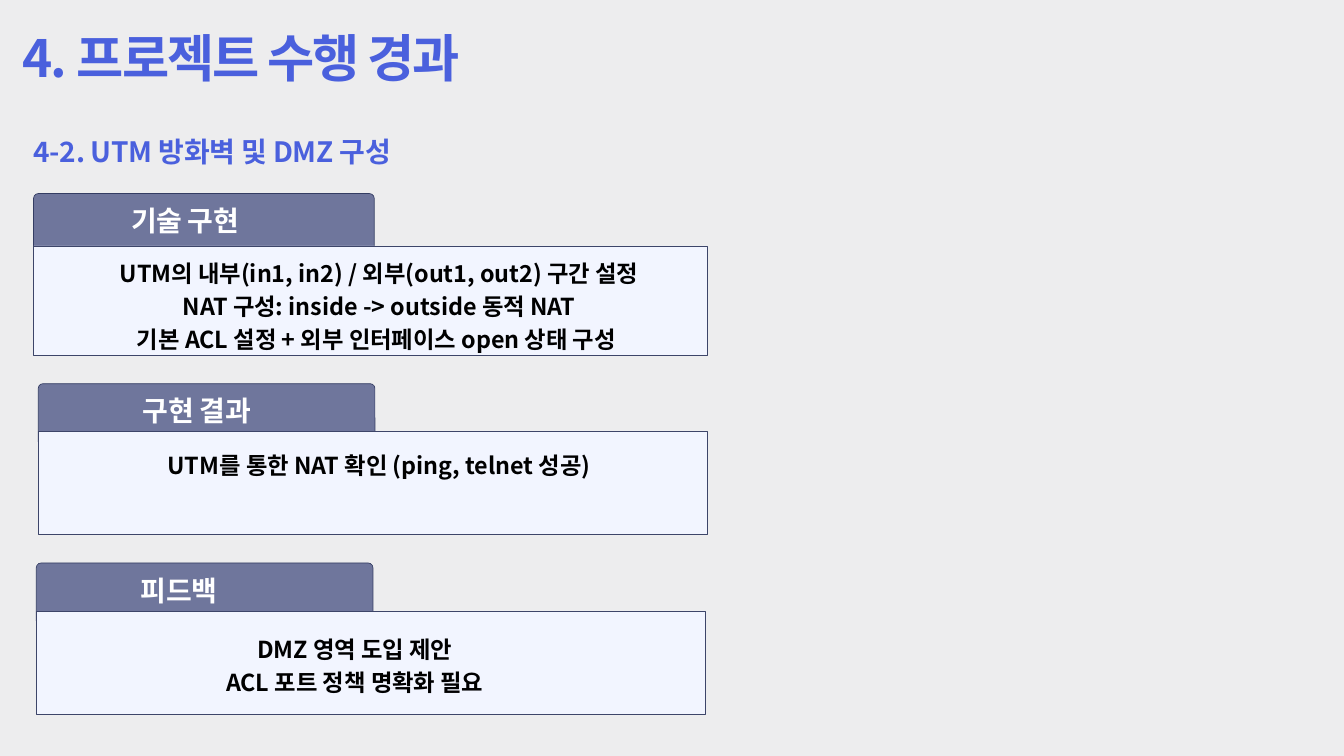
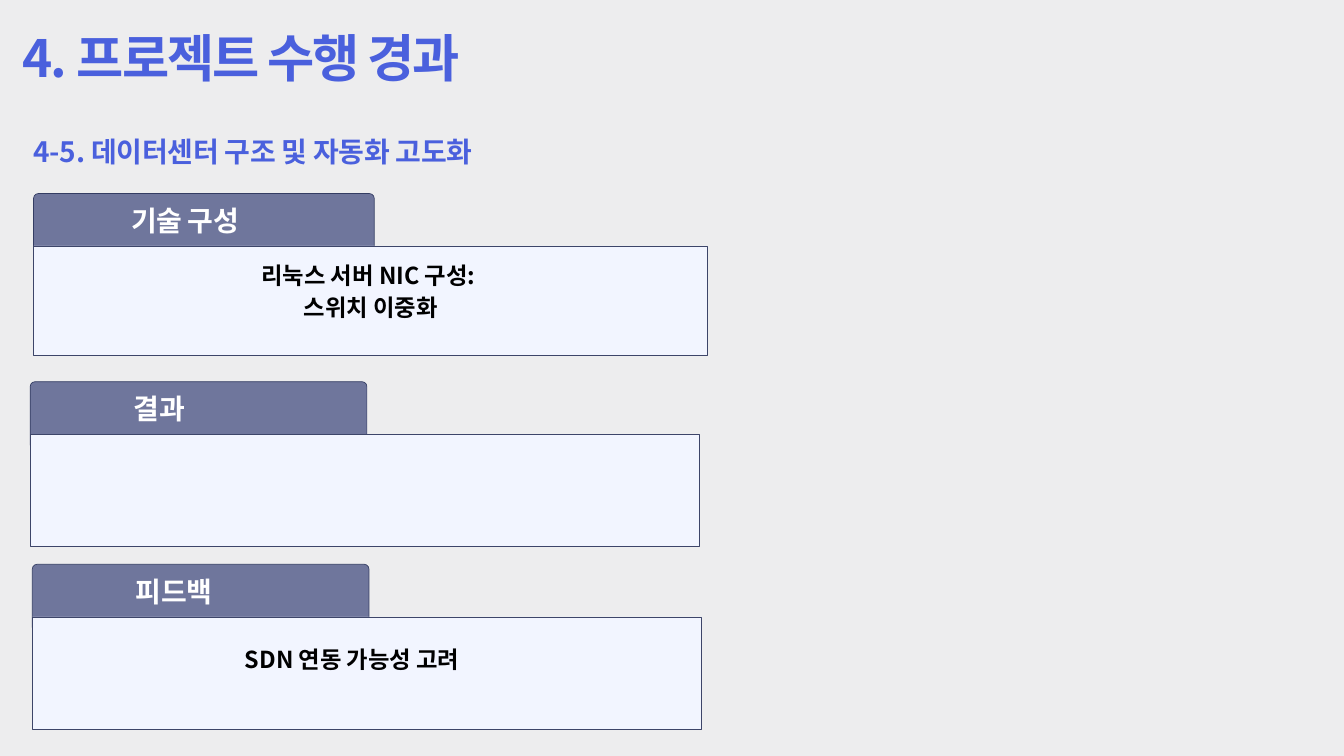
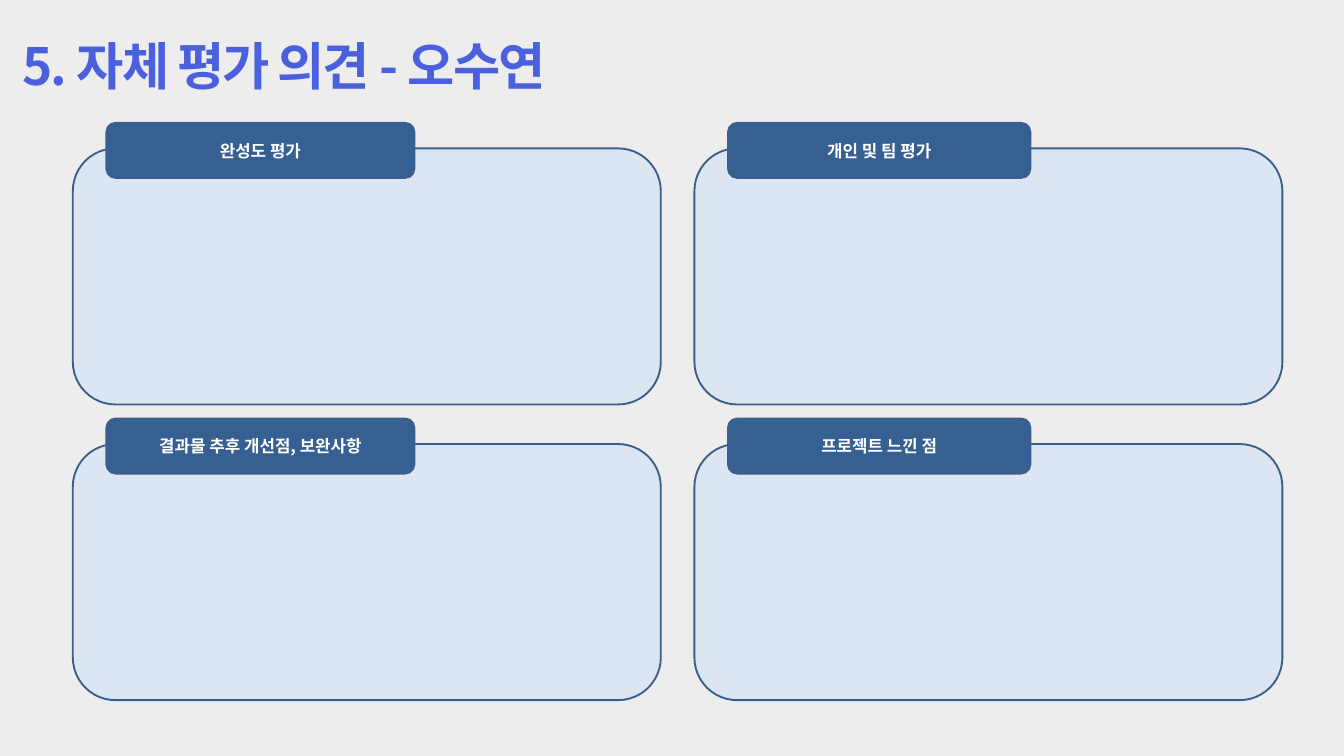
from dataclasses import dataclass

from lxml import etree
from pptx import Presentation
from pptx.dml.color import RGBColor
from pptx.enum.shapes import MSO_SHAPE
from pptx.enum.text import MSO_ANCHOR, MSO_AUTO_SIZE, PP_ALIGN
from pptx.oxml.ns import qn
from pptx.util import Pt

RECTANGLE = MSO_SHAPE.RECTANGLE
ROUNDED = MSO_SHAPE.ROUNDED_RECTANGLE
LEFT, CENTER = PP_ALIGN.LEFT, PP_ALIGN.CENTER
TOP, MIDDLE = MSO_ANCHOR.TOP, MSO_ANCHOR.MIDDLE
NO_FIT = MSO_AUTO_SIZE.NONE
TITLE_ONLY = 5


@dataclass(frozen=True)
class Theme:
    font: str = "Noto Sans CJK KR"
    background: str = "EDEDEE"
    accent: str = "4A60DD"
    white: str = "FFFFFF"
    black: str = "000000"
    tab: str = "6F769C"
    tab_line: str = "343D63"
    body: str = "F2F5FF"
    body_line: str = "3D4569"
    panel: str = "DCE6F2"
    label: str = "376092"
    panel_line: str = "3A5F8C"
    title_size: int = 55
    heading_size: int = 30
    body_size: int = 25
    label_size: int = 18


@dataclass(frozen=True)
class CardSize:
    tab_width: float
    tab_height: float
    body_offset: float
    body_width: float
    body_height: float
    heading_offset: float


THEME = Theme()
SIZES = {
    "lead": CardSize(365, 72.7, 56.1, 722, 117.4, 104.4),
    "short": CardSize(360.7, 66.8, 51.5, 717, 110.3, 112),
    "tall": CardSize(360.7, 72.7, 56.5, 717, 120.2, 110.9),
}

RESULT_SLIDES = [
    {
        "title": "4. 프로젝트 수행 경과",
        "section": "4-2. UTM 방화벽 및 DMZ 구성",
        "cards": [
            {"heading": "기술 구현", "size": "lead", "at": (36, 207.4),
             "lines": ["UTM의 내부(in1, in2) / 외부(out1, out2) 구간 설정",
                       "NAT 구성: inside -> outside 동적 NAT",
                       "기본 ACL 설정 + 외부 인터페이스 open 상태 구성 "],
             "text_at": (52.6, 272.9)},
            {"heading": "구현 결과", "size": "short", "at": (41, 411.1),
             "lines": ["UTM를 통한 NAT 확인 (ping, telnet 성공)"],
             "text_at": (52.6, 478.1)},
            {"heading": "피드백", "size": "short", "at": (38.9, 603.2),
             "lines": ["DMZ 영역 도입 제안", "ACL 포트 정책 명확화 필요"],
             "text_at": (26.6, 675.4)},
        ],
    },
    {
        "title": "4. 프로젝트 수행 경과",
        "section": "4-5. 데이터센터 구조 및 자동화 고도화",
        "cards": [
            {"heading": "기술 구성", "size": "lead", "at": (36, 207.4),
             "lines": ["리눅스 서버 NIC 구성: ", "스위치 이중화"],
             "text_at": (43.9, 274.3)},
            {"heading": "결과", "size": "tall", "at": (32.4, 409),
             "lines": [], "text_at": None},
            {"heading": "피드백", "size": "tall", "at": (34.6, 604.6),
             "lines": ["SDN 연동 가능성 고려"],
             "text_at": (23.8, 686.2)},
        ],
    },
]

REVIEW_TITLE = "5. 자체 평가 의견 - 오수연"
REVIEW_LABELS = [
    ["완성도 평가", "개인 및 팀 평가"],
    ["결과물 추후 개선점, 보완사항", "프로젝트 느낀 점"],
]


def color(value):
    return RGBColor.from_string(value)


def points(*values):
    return [Pt(value) for value in values]


def write(frame, lines, *, size, fill, align=LEFT, leading=None, spacing=0):
    for index, line in enumerate(lines):
        para = frame.paragraphs[0] if index == 0 else frame.add_paragraph()
        para.alignment = align
        if leading:
            para.line_spacing = Pt(leading)
        span = para.add_run()
        span.text = line
        font = span.font
        font.name, font.size, font.bold = THEME.font, Pt(size), True
        font.color.rgb = color(fill)
        properties = span._r.get_or_add_rPr()
        etree.SubElement(properties, qn("a:ea"), typeface=THEME.font)
        if spacing:
            properties.set("spc", str(round(spacing * 100)))


def clear_frame(frame):
    frame.word_wrap = True
    frame.auto_size = NO_FIT
    frame.vertical_anchor = TOP
    frame.margin_left = frame.margin_top = 0
    frame.margin_right = frame.margin_bottom = 0


def add_text(slide, lines, x, y, width, height, **style):
    box = slide.shapes.add_textbox(*points(x, y, width, height))
    clear_frame(box.text_frame)
    write(box.text_frame, lines, **style)


def add_heading(slide, text, x, y, width, fill):
    add_text(slide, [text], x, y, width, 38.2, size=THEME.heading_size,
             fill=fill, leading=39, spacing=-0.3)


def add_block(slide, kind, x, y, width, height, *, fill, line, weight, radius=None):
    block = slide.shapes.add_shape(kind, *points(x, y, width, height))
    block.shadow.inherit = False
    block.fill.solid()
    block.fill.fore_color.rgb = color(fill)
    block.line.color.rgb = color(line)
    block.line.width = Pt(weight)
    if radius:
        block.adjustments[0] = radius / min(width, height)
    return block


def add_titled_slide(deck, text, y, width):
    slide = deck.slides.add_slide(deck.slide_layouts[TITLE_ONLY])
    title = slide.shapes.title
    title.left, title.top, title.width, title.height = points(23.8, y, width, 69)
    clear_frame(title.text_frame)
    write(title.text_frame, [text], size=THEME.title_size, fill=THEME.accent,
          leading=70, spacing=-2.1)
    return slide


def add_card(slide, card):
    size = SIZES[card["size"]]
    x, y = card["at"]
    add_block(slide, ROUNDED, x, y, size.tab_width, size.tab_height,
              fill=THEME.tab, line=THEME.tab_line, weight=0.75, radius=5)
    add_block(slide, RECTANGLE, x, y + size.body_offset, size.body_width,
              size.body_height, fill=THEME.body, line=THEME.body_line, weight=0.75)
    add_heading(slide, card["heading"], x + size.heading_offset, y + 8, 185, THEME.white)
    if card["lines"]:
        add_text(slide, card["lines"], *card["text_at"], 707, 35 * len(card["lines"]),
                 size=THEME.body_size, fill=THEME.black, align=CENTER, leading=35)


def add_result_slide(deck, content):
    slide = add_titled_slide(deck, content["title"], 24.5, 821.5)
    add_heading(slide, content["section"], 36, 141.1, 618, THEME.accent)
    for card in content["cards"]:
        add_card(slide, card)


def add_review_slide(deck):
    slide = add_titled_slide(deck, REVIEW_TITLE, 32.4, 1148.4)
    label_widths = (330, 324)
    for row, labels in enumerate(REVIEW_LABELS):
        for column, text in enumerate(labels):
            x, y = 78 + 666 * column, 159 + 316.8 * row
            add_block(slide, ROUNDED, x, y, 630, 274.4,
                      fill=THEME.panel, line=THEME.panel_line, weight=2)
            label = add_block(slide, ROUNDED, x + 36, y - 27.4, label_widths[column], 59,
                              fill=THEME.label, line=THEME.panel_line, weight=2)
            label.text_frame.vertical_anchor = MIDDLE
            label.text_frame.word_wrap = True
            write(label.text_frame, [text], size=THEME.label_size,
                  fill=THEME.white, align=CENTER)


def main():
    deck = Presentation()
    deck.slide_width, deck.slide_height = points(1440, 810)
    background = deck.slide_master.background.fill
    background.solid()
    background.fore_color.rgb = color(THEME.background)
    for content in RESULT_SLIDES:
        add_result_slide(deck, content)
    add_review_slide(deck)
    deck.save("out.pptx")


if __name__ == "__main__":
    main()
